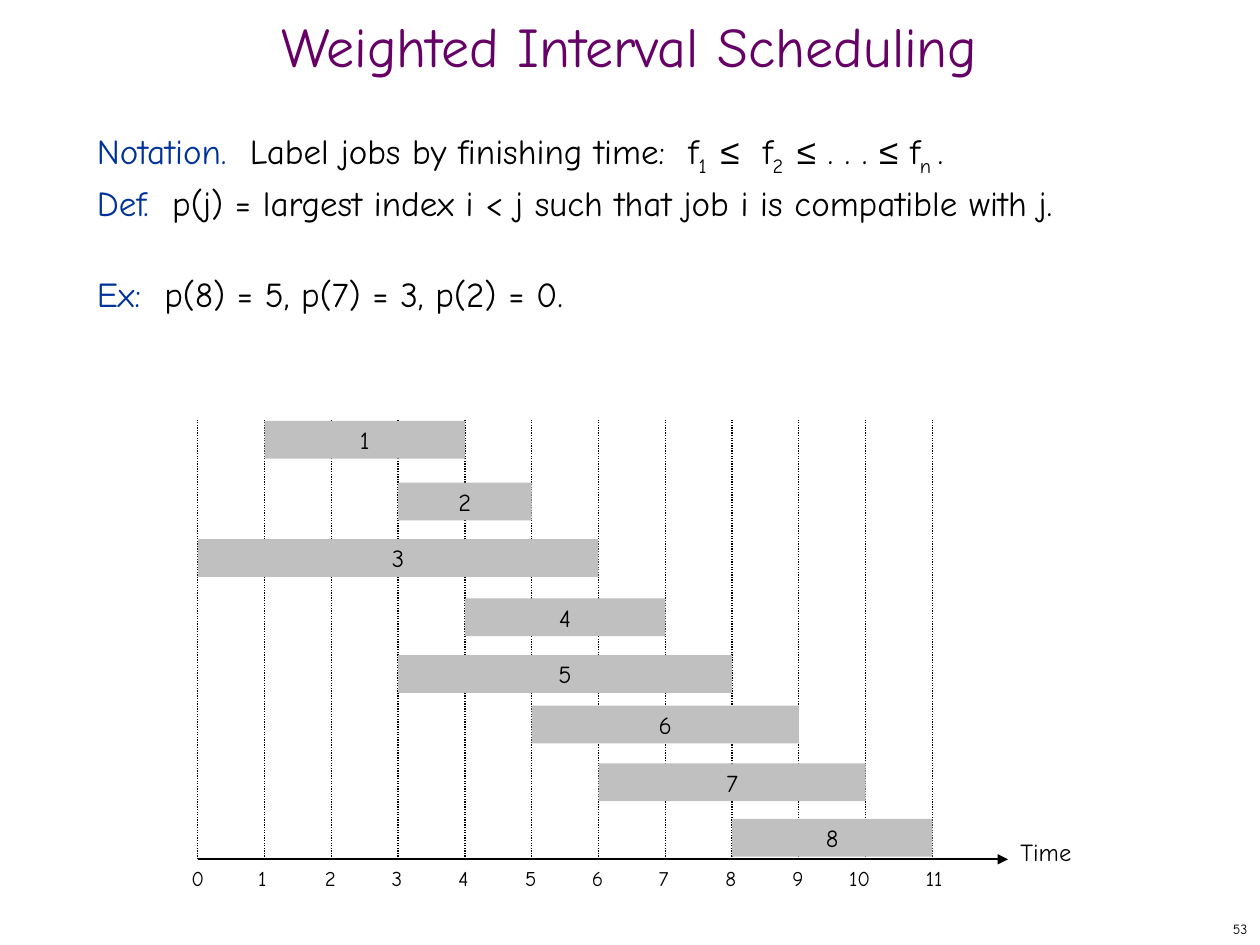
from pptx import Presentation
from pptx.dml.color import RGBColor
from pptx.enum.dml import MSO_LINE
from pptx.enum.shapes import MSO_CONNECTOR, MSO_SHAPE
from pptx.enum.text import MSO_ANCHOR, PP_ALIGN
from pptx.oxml.ns import qn
from pptx.util import Inches, Pt
from lxml.etree import SubElement

THEME = {
    "font": "Comic Neue", "symbol_font": "Arial",
    "title": RGBColor(0x66, 0x00, 0x66), "lead": RGBColor(0x00, 0x33, 0x99),
    "ink": RGBColor(0, 0, 0), "bar": RGBColor(0xC0, 0xC0, 0xC0),
    "title_size": 32, "body_size": 20, "job_size": 14, "tick_size": 12, "number_size": 8,
}

# Time grid, in inches: one column per unit of time
AXIS_LEFT, AXIS_RIGHT, COLUMN = 1.57, 8, 0.53
GRID_TOP, AXIS_TOP, BAR_HEIGHT = 3.33, 6.82, 0.3
LAST_TICK = 11

# Start time, finishing time and top of each job, in order of finishing time
JOBS = [(1, 4, 3.34), (3, 5, 3.83), (0, 6, 4.28), (4, 7, 4.75),
        (3, 8, 5.2), (5, 9, 5.6), (6, 10, 6.06), (8, 11, 6.5)]

# Each line of the body is a list of (text, style)
BODY = [
    [("Notation.  ", "lead"), ("Label jobs by finishing time:  f", "plain"), ("1  ", "sub"),
     ("≤", "symbol"), ("  f", "plain"), ("2  ", "sub"), ("≤", "symbol"), (" . . . ", "plain"),
     ("≤", "symbol"), (" f", "plain"), ("n ", "sub"), (".", "plain")],
    [("Def.  ", "lead"),
     ("p(j) = largest index i < j such that job i is compatible with j.", "plain")],
    [("Ex:  ", "lead"), ("p(8) = 5, p(7) = 3, p(2) = 0.", "plain")],
]


def write(shape, lines, size, color="ink", **paragraph_format):
    """Fill a shape with lines of (text, style) runs."""
    frame = shape.text_frame
    frame.word_wrap = True
    for index, line in enumerate(lines):
        paragraph = frame.paragraphs[0] if index == 0 else frame.add_paragraph()
        for name, value in paragraph_format.items():
            setattr(paragraph, name, value)
        for text, style in line:
            run = paragraph.add_run()
            run.text = text
            run.font.size = Pt(THEME[size])
            run.font.name = THEME["symbol_font" if style == "symbol" else "font"]
            run.font.color.rgb = THEME["lead" if style == "lead" else color]
            if style == "sub":
                run._r.get_or_add_rPr().set("baseline", "-25000")
    return frame


def add_line(start, end, width):
    points = [Inches(value) for value in (*start, *end)]
    connector = slide.shapes.add_connector(MSO_CONNECTOR.STRAIGHT, *points)
    connector.line.color.rgb = THEME["ink"]
    connector.line.width = Pt(width)
    SubElement(connector._element.spPr, qn("a:effectLst"))
    return connector


presentation = Presentation()
presentation.slide_width, presentation.slide_height = Inches(10), Inches(7.5)
slide = presentation.slides.add_slide(presentation.slide_layouts[5])

title = slide.shapes.title
for name, value in {"left": 0, "top": 0.17, "width": 10, "height": 0.5}.items():
    setattr(title, name, Inches(value))
frame = write(title, [[("Weighted Interval Scheduling", "plain")]], "title_size", "title",
              alignment=PP_ALIGN.CENTER, line_spacing=0.7)
frame.vertical_anchor = MSO_ANCHOR.MIDDLE

body = slide.shapes.add_textbox(Inches(0.67), Inches(1), Inches(8.58), Inches(5.92))
frame = write(body, BODY, "body_size", line_spacing=Pt(26))
frame.paragraphs[-1].space_before = Pt(26)

number = slide.shapes.add_textbox(Inches(7.92), Inches(7.25), Inches(2.08), Inches(0.25))
frame = write(number, [[("53", "plain")]], "number_size", alignment=PP_ALIGN.RIGHT)
frame.vertical_anchor = MSO_ANCHOR.MIDDLE

# Time axis
axis = add_line((AXIS_LEFT, AXIS_TOP), (AXIS_RIGHT, AXIS_TOP), 1.25)
SubElement(axis.line._get_or_add_ln(), qn("a:tailEnd"), type="triangle")
axis_label = slide.shapes.add_textbox(Inches(AXIS_RIGHT), Inches(6.59), Inches(0.83), Inches(0.33))
write(axis_label, [[("Time", "plain")]], "job_size")

for tick in range(LAST_TICK + 1):
    x = AXIS_LEFT + tick * COLUMN
    grid_line = add_line((x, AXIS_TOP), (x, GRID_TOP), 0.75)
    grid_line.line.dash_style = MSO_LINE.ROUND_DOT
    offset = 0.23 if tick == 10 else 0.15
    tick_label = slide.shapes.add_textbox(Inches(x - offset), Inches(AXIS_TOP),
                                          Inches(0.46), Inches(0.3))
    write(tick_label, [[(str(tick), "plain")]], "tick_size")

# Jobs
for job, (start, finish, top) in enumerate(JOBS, 1):
    bar = slide.shapes.add_shape(
        MSO_SHAPE.RECTANGLE, Inches(AXIS_LEFT + start * COLUMN), Inches(top),
        Inches((finish - start) * COLUMN), Inches(BAR_HEIGHT))
    bar.shadow.inherit = False
    bar.fill.solid()
    bar.fill.fore_color.rgb = THEME["bar"]
    bar.line.fill.background()
    frame = write(bar, [[(str(job), "plain")]], "job_size", alignment=PP_ALIGN.CENTER)
    frame.vertical_anchor = MSO_ANCHOR.MIDDLE

presentation.save("out.pptx")
